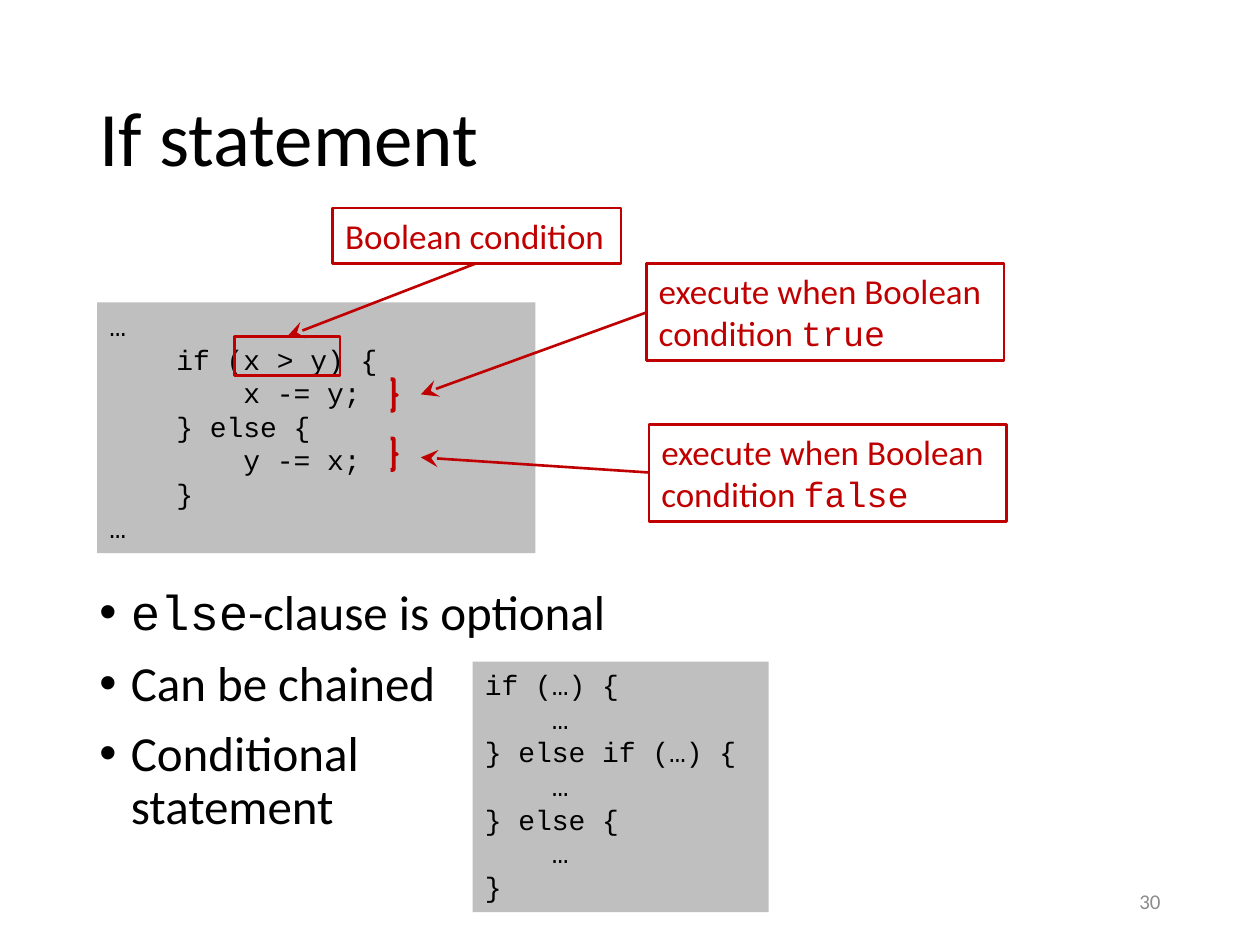
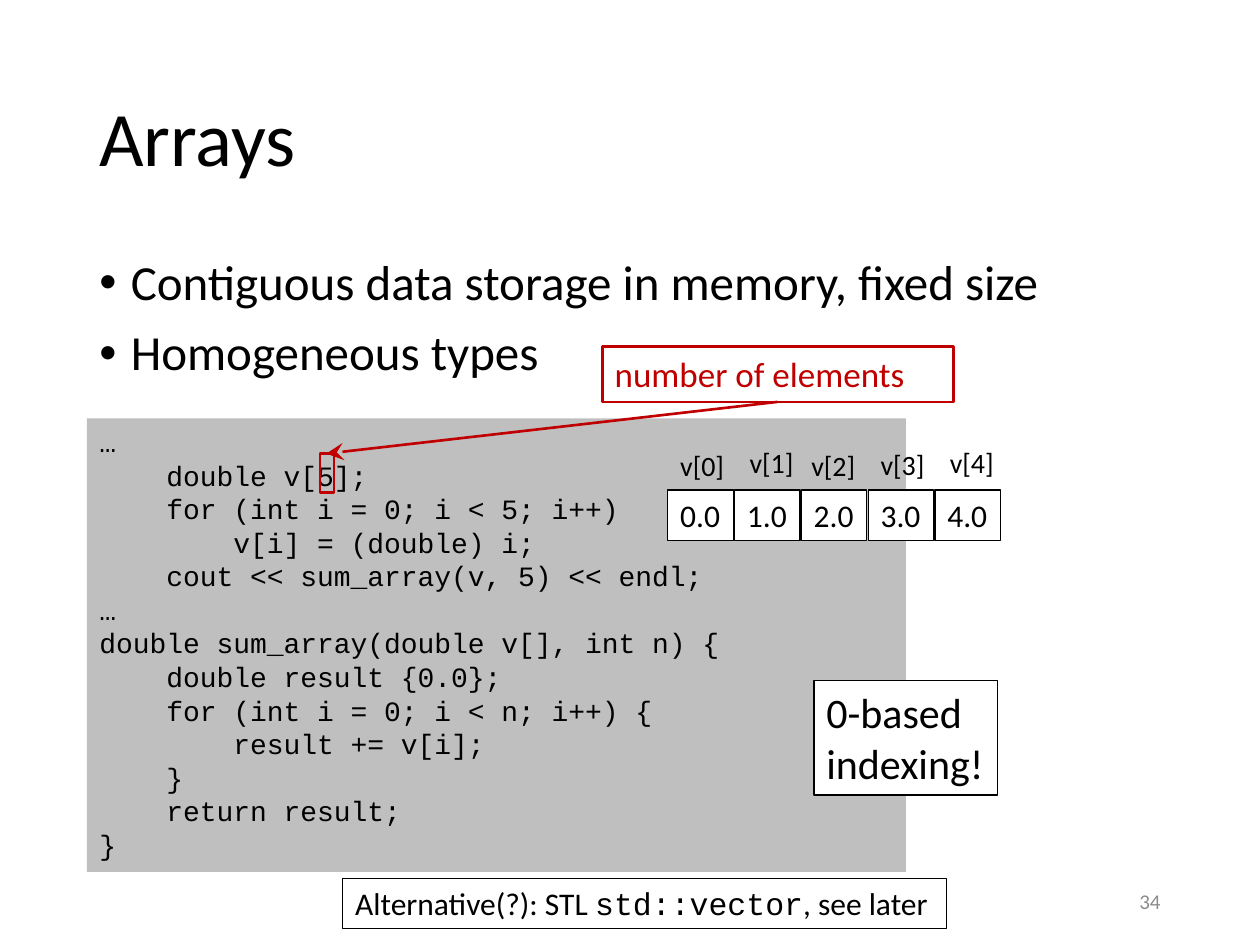
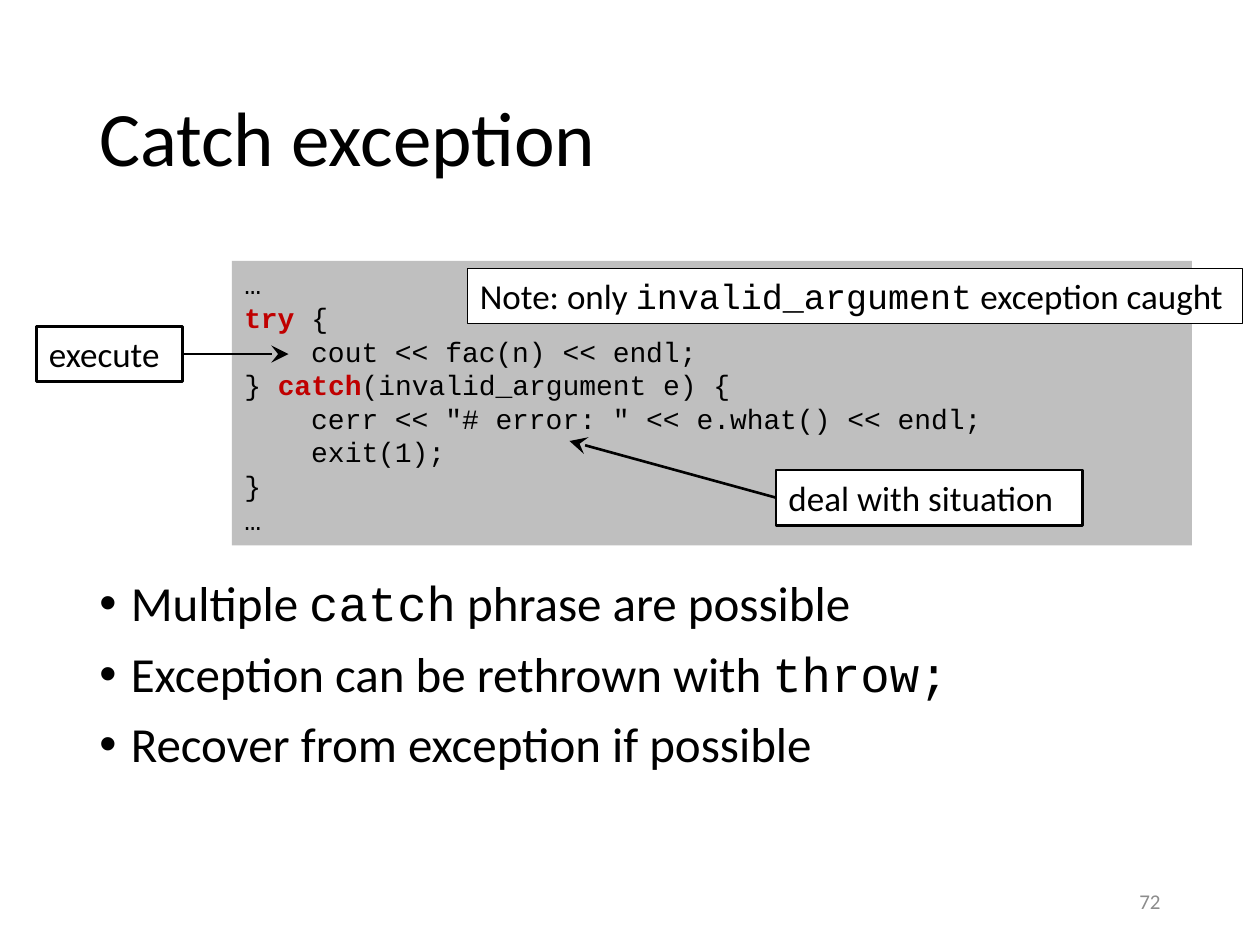
"""Build three slides on C++ syntax: if statement, arrays and exceptions."""
from lxml.etree import SubElement as Sub
from pptx import Presentation
from pptx.dml.color import RGBColor as RGB
from pptx.enum.shapes import MSO_CONNECTOR as Conn, MSO_SHAPE as Kind
from pptx.enum.text import MSO_ANCHOR as Anchor, MSO_AUTO_SIZE as Auto, PP_ALIGN as Align
from pptx.oxml.ns import qn
from pptx.util import Inches, Pt

HUES = {"ink": "000000", "red": "C00000", "code": "BFBFBF", "page": "FFFFFF", "foot": "8C8C8C"}
SANS, MONO = "Calibri", "Courier New"
TITLE = (0.69, 0.4, 8.62, 1.45)
FOOT = (7.06, 6.95, 2.25, 0.4)

CHOICE = """…
    if (x > y) {
        x -= y;
    } else {
        y -= x;
    }
…"""
CHAIN = """if (…) {
    …
} else if (…) {
    …
} else {
    …
}"""
ARRAY = """…
    double v[5];
    for (int i = 0; i < 5; i++)
        v[i] = (double) i;
    cout << sum_array(v, 5) << endl;
…
double sum_array(double v[], int n) {
    double result {0.0};
    for (int i = 0; i < n; i++) {
        result += v[i];
    }
    return result;
}"""
CATCH = """…
`try` {
    cout << fac(n) << endl;
} `catch`(invalid_argument e) {
    cerr << "# error: " << e.what() << endl;
    exit(1);
}
…"""

SLIDES = [
    {
        "title": "If statement", "page": "30", "hue": "red",
        "body": ((0.69, 4.62, 8.62, 2.14),
                 ["`else`-clause is optional", "Can be chained", "Conditional\nstatement"]),
        "code": [((0.77, 2.4, 3.48, 1.99), CHOICE), ((3.75, 5.25, 2.35, 1.99), CHAIN)],
        "calls": [((2.64, 1.65, 2.29, 0.44), "Boolean condition"),
                  ((5.13, 2.09, 2.84, 0.77), "execute when Boolean condition `true`"),
                  ((5.15, 3.37, 2.84, 0.77), "execute when Boolean condition `false`")],
        "marks": [(Kind.RECTANGLE, (1.86, 2.67, 0.84, 0.31), 1.5),
                  (Kind.RIGHT_BRACE, (3.1, 3.01, 0.05, 0.25), 2.25),
                  (Kind.RIGHT_BRACE, (3.1, 3.48, 0.05, 0.25), 2.25)],
        "arrows": [((3.78, 2.09), (2.28, 2.67)), ((5.13, 2.48), (3.34, 3.13)),
                   ((5.15, 3.75), (3.34, 3.63))],
    },
    {
        "title": "Arrays", "page": "34", "hue": "red",
        "body": ((0.69, 2, 8.62, 4.76),
                 ["Contiguous data storage in memory, fixed size", "Homogeneous types"]),
        "code": [((0.69, 3.32, 6.5, 3.6), ARRAY)],
        "calls": [((4.78, 2.75, 2.79, 0.44), "number of elements")],
        "marks": [(Kind.RECTANGLE, (2.54, 3.6, 0.11, 0.31), 1.5)],
        "arrows": [((6.17, 3.19), (2.59, 3.6))],
        "cells": ["0.0", "1.0", "2.0", "3.0", "4.0"],
        "tags": [(5.3, 3.51), (5.85, 3.49), (6.34, 3.51), (6.89, 3.5), (7.44, 3.49)],
        "notes": [((6.46, 5.4, 1.46, 0.91), ["0-based", "indexing!"], 24, "page"),
                  ((2.72, 6.97, 4.79, 0.4), ["Alternative(?): STL `std::vector`, see later"], 18, None)],
    },
    {
        "title": "Catch exception", "page": "72", "hue": "ink",
        "body": ((0.69, 4.55, 8.62, 2.2),
                 ["Multiple `catch` phrase are possible", "Exception can be rethrown with `throw;`",
                  "Recover from exception if possible"]),
        "code": [((1.84, 2.07, 7.62, 2.26), CATCH)],
        "calls": [((6.16, 3.73, 2.43, 0.44), "deal with situation"),
                  ((0.29, 2.59, 1.16, 0.44), "execute")],
        "arrows": [((6.16, 3.95), (4.52, 3.5)), ((1.45, 2.81), (2.29, 2.81))],
        "notes": [((3.71, 2.13, 6.15, 0.44),
                   ["Note: only `invalid_argument` exception caught"], 20, "page")],
    },
]


def color(name):
    return RGB.from_string(HUES[name])


def style(font, hue="ink", **form):
    for key, val in form.items():
        setattr(font, key, val)
    font.color.rgb = color(hue)


def stroke(line, hue, width):
    line.color.rgb = color(hue)
    line.width = Pt(width)


def fill_text(para, text, size, hue, face):
    """Write one paragraph; backticks switch to mono, or to bold red in code."""
    base = {"name": face, "size": Pt(size), "hue": hue}
    alt = {"bold": True, "hue": "red"} if face == MONO else {"name": MONO}
    for row, line in enumerate(text.split("\n")):
        if row:
            para.add_line_break()
        for i, part in enumerate(line.split("`")):
            if part:
                run = para.add_run()
                run.text = part
                style(run.font, **(base | alt if i % 2 else base))


def add_text(slide, at, lines, size, hue="ink", face=SANS, back=None, edge=None,
             wrap=True, grow=True, bullet=False, anchor=Anchor.TOP, para_form=None):
    box = slide.shapes.add_textbox(*map(Inches, at))
    if back:
        box.fill.solid()
        box.fill.fore_color.rgb = color(back)
    if edge:
        stroke(box.line, hue, edge)
    frame = box.text_frame
    frame.word_wrap = wrap
    frame.auto_size = Auto.SHAPE_TO_FIT_TEXT if grow else Auto.NONE
    frame.vertical_anchor = anchor
    for i, line in enumerate(lines):
        para = frame.add_paragraph() if i else frame.paragraphs[0]
        if bullet:
            props = para._p.get_or_add_pPr()
            props.set("marL", str(Inches(0.25)))
            props.set("indent", str(-Inches(0.25)))
            Sub(props, qn("a:buFont")).set("typeface", "Arial")
            Sub(props, qn("a:buChar")).set("char", "•")
            para.space_before = Pt(10 if i else 0)
        for key, val in (para_form or {}).items():
            setattr(para, key, val)
        fill_text(para, line, size, hue, face)


def add_mark(slide, kind, at, width, hue):
    mark = slide.shapes.add_shape(kind, *map(Inches, at))
    mark.shadow.inherit = False
    mark.fill.background()
    stroke(mark.line, hue, width)


def add_arrow(slide, start, end, hue):
    link = slide.shapes.add_connector(Conn.STRAIGHT, *map(Inches, start + end))
    stroke(link.line, hue, 1.5)
    Sub(link.line._get_or_add_ln(), qn("a:tailEnd"), type="stealth", w="lg", len="lg")
    Sub(link._element.spPr, qn("a:effectLst"))


def add_array(slide, cells, tags):
    for i, (cell, (x, y)) in enumerate(zip(cells, tags)):
        add_text(slide, (5.3 + 0.53 * i, 3.89, 0.52, 0.4), [cell], 18,
                 back="page", edge=0.75, wrap=False)
        add_text(slide, (x, y, 0.55, 0.37), [f"v[{i}]"], 16, wrap=False)


def build(slide, data):
    hue = data["hue"]
    tight = {"line_spacing": 0.9}
    add_text(slide, TITLE, [data["title"]], 44, grow=False, anchor=Anchor.MIDDLE, para_form=tight)
    at, points = data["body"]
    add_text(slide, at, points, 28, grow=False, bullet=True, para_form=tight)
    add_text(slide, FOOT, [data["page"]], 12, "foot", grow=False, anchor=Anchor.MIDDLE,
             para_form={"alignment": Align.RIGHT})
    for at, code in data["code"]:
        add_text(slide, at, code.split("\n"), 16, face=MONO, back="code")
    for at, text in data["calls"]:
        add_text(slide, at, [text], 20, hue, back="page", edge=1.5)
    for kind, at, width in data.get("marks", []):
        add_mark(slide, kind, at, width, hue)
    for start, end in data["arrows"]:
        add_arrow(slide, start, end, hue)
    add_array(slide, data.get("cells", []), data.get("tags", []))
    for at, lines, size, back in data.get("notes", []):
        add_text(slide, at, lines, size, back=back, edge=0.75, wrap=False)


def main():
    deck = Presentation()
    deck.slide_width, deck.slide_height = Inches(10), Inches(7.5)
    for data in SLIDES:
        build(deck.slides.add_slide(deck.slide_layouts[6]), data)
    deck.save("out.pptx")


if __name__ == "__main__":
    main()
